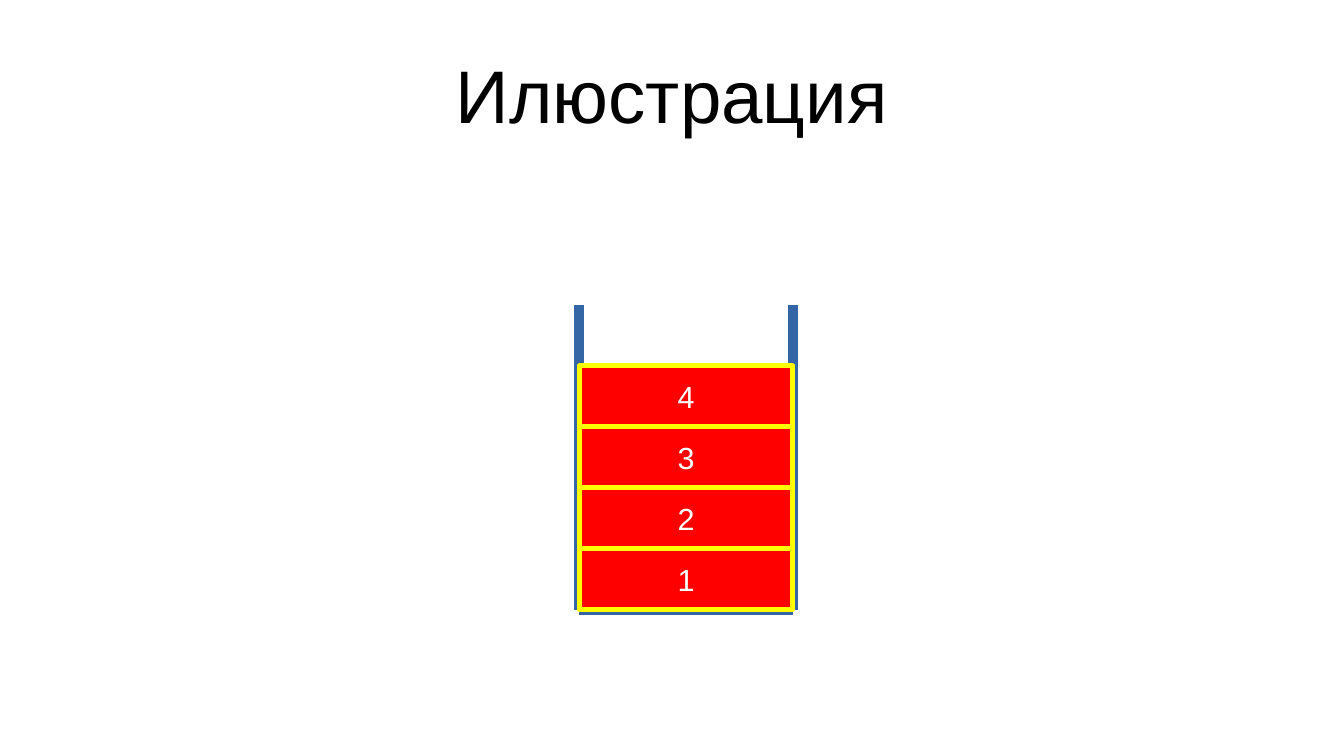
from lxml import etree
from pptx import Presentation
from pptx.dml.color import RGBColor
from pptx.enum.shapes import MSO_CONNECTOR, MSO_SHAPE
from pptx.enum.text import MSO_ANCHOR, PP_ALIGN
from pptx.oxml.ns import qn
from pptx.util import Inches, Pt

STRAIGHT = MSO_CONNECTOR.STRAIGHT
RECTANGLE = MSO_SHAPE.RECTANGLE
MIDDLE = MSO_ANCHOR.MIDDLE
CENTER = PP_ALIGN.CENTER
TITLE_ONLY = 5

TITLE = "Илюстрация"
STACK_ITEMS = ["1", "2", "3", "4"]
SLIDE_SIZE = (11.02, 6.2)
TITLE_BOX = (0.55, 0.25, 9.92, 1.04)
STACK_LEFT, STACK_BOTTOM = 4.75, 5
ITEM_WIDTH, ITEM_HEIGHT = 1.75, 0.5
STACK_CAPACITY = 5
TITLE_FORMAT = {"size": 44, "color": "000000", "margins": (0, 0, 0, 0)}
ITEM_FORMAT = {"size": 18, "color": "FFFFFF", "margins": (0.12, 0.07, 0.12, 0.07)}
WALL_LINE = ("3465A4", 6)
ITEM_LINE = ("FFFF00", 3)
ITEM_FILL = "FF0000"


def rgb(value):
    return RGBColor.from_string(value)


def inches(values):
    return [Inches(value) for value in values]


def set_text(shape, text, size, color, margins):
    frame = shape.text_frame
    frame.text = text
    frame.word_wrap = True
    frame.vertical_anchor = MIDDLE
    sides = ("left", "top", "right", "bottom")
    for side, margin in zip(sides, inches(margins)):
        setattr(frame, f"margin_{side}", margin)
    paragraph = frame.paragraphs[0]
    paragraph.alignment = CENTER
    font = paragraph.runs[0].font
    font.color.rgb = rgb(color)
    for name, value in {"name": "Arial", "size": Pt(size), "bold": False}.items():
        setattr(font, name, value)


def set_line(shape, color, width):
    shape.line.color.rgb = rgb(color)
    shape.line.width = Pt(width)


def add_wall(slide, start, end):
    wall = slide.shapes.add_connector(STRAIGHT, *inches(start + end))
    set_line(wall, *WALL_LINE)
    etree.SubElement(wall._element.spPr, qn("a:effectLst"))


def add_item(slide, level, text):
    top = STACK_BOTTOM - level * ITEM_HEIGHT
    item = slide.shapes.add_shape(
        RECTANGLE, *inches((STACK_LEFT, top, ITEM_WIDTH, ITEM_HEIGHT)))
    item.shadow.inherit = False
    item.fill.solid()
    item.fill.fore_color.rgb = rgb(ITEM_FILL)
    set_line(item, *ITEM_LINE)
    etree.SubElement(item.line._get_or_add_ln(), qn("a:round"))
    set_text(item, text, **ITEM_FORMAT)


def main():
    presentation = Presentation()
    presentation.slide_width, presentation.slide_height = inches(SLIDE_SIZE)
    slide = presentation.slides.add_slide(presentation.slide_layouts[TITLE_ONLY])

    title = slide.shapes.title
    for name, value in zip(("left", "top", "width", "height"), inches(TITLE_BOX)):
        setattr(title, name, value)
    set_text(title, TITLE, **TITLE_FORMAT)

    stack_right = STACK_LEFT + ITEM_WIDTH
    stack_top = STACK_BOTTOM - STACK_CAPACITY * ITEM_HEIGHT
    for side in (STACK_LEFT, stack_right):
        add_wall(slide, (side, stack_top), (side, STACK_BOTTOM))
    add_wall(slide, (STACK_LEFT, STACK_BOTTOM), (stack_right, STACK_BOTTOM))

    for level, text in enumerate(STACK_ITEMS, start=1):
        add_item(slide, level, text)

    presentation.save("out.pptx")


if __name__ == "__main__":
    main()
